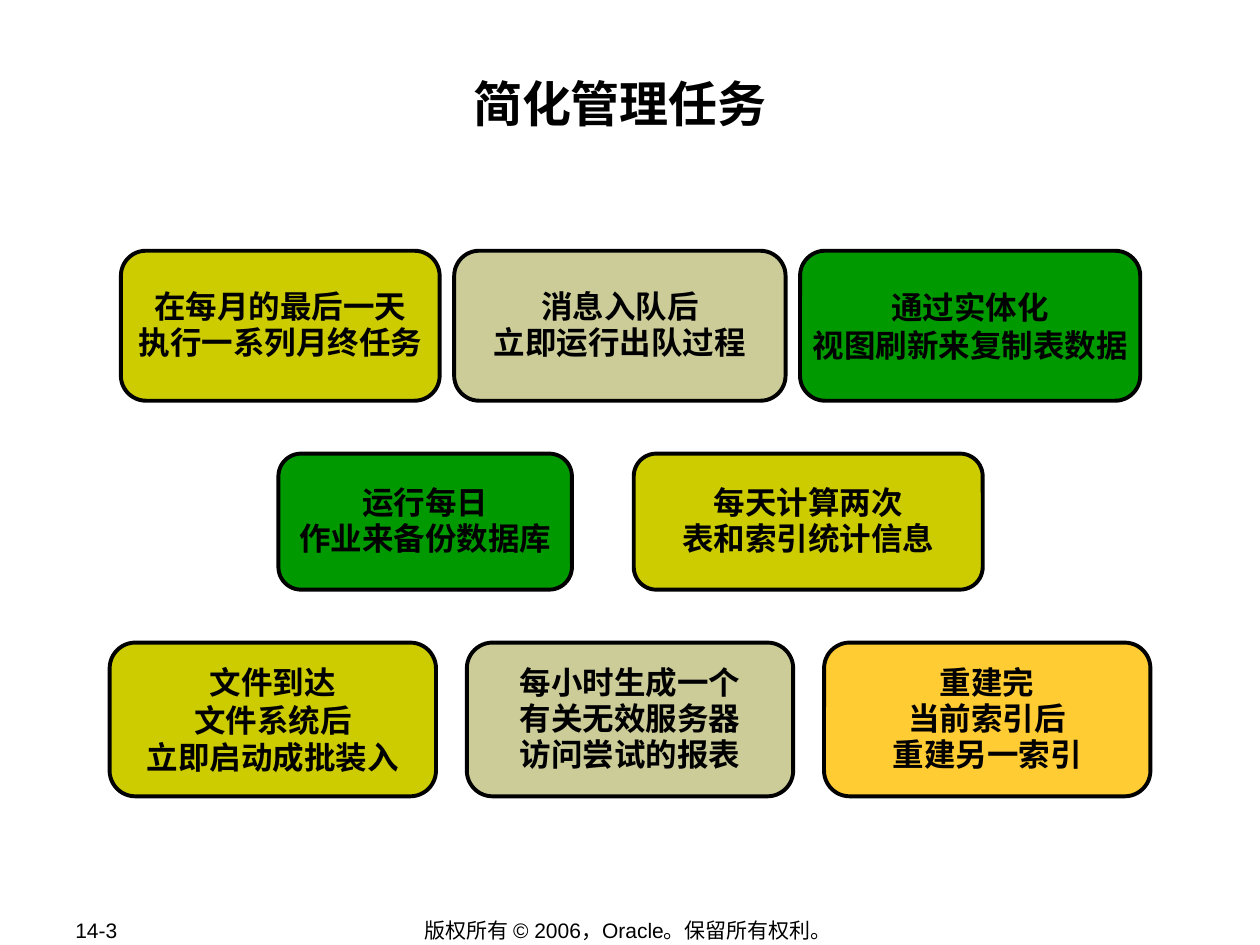
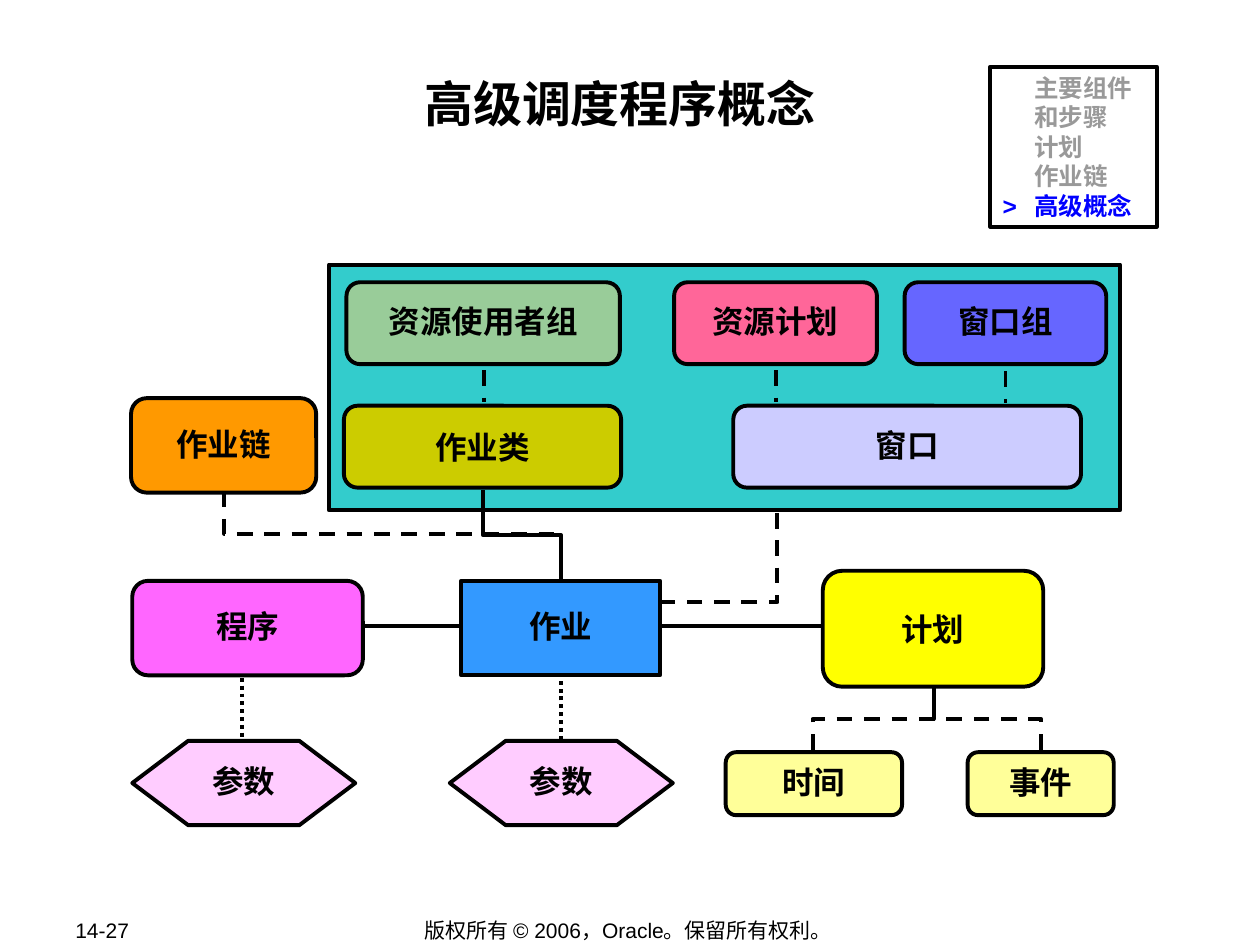
from dataclasses import dataclass

from lxml import etree
from pptx import Presentation
from pptx.dml.color import RGBColor
from pptx.enum.dml import MSO_LINE
from pptx.enum.shapes import MSO_CONNECTOR, MSO_SHAPE
from pptx.enum.text import MSO_ANCHOR, PP_ALIGN
from pptx.oxml.ns import qn
from pptx.util import Inches, Pt

ROUND, RECT, HEXAGON = MSO_SHAPE.ROUNDED_RECTANGLE, MSO_SHAPE.RECTANGLE, MSO_SHAPE.HEXAGON
STRAIGHT, ELBOW = MSO_CONNECTOR.STRAIGHT, MSO_CONNECTOR.ELBOW
DASH, DOT = MSO_LINE.DASH, MSO_LINE.ROUND_DOT
LEFT, CENTER = PP_ALIGN.LEFT, PP_ALIGN.CENTER
TOP, MIDDLE = MSO_ANCHOR.TOP, MSO_ANCHOR.MIDDLE

SLIDE_W, SLIDE_H = Inches(10), Inches(7.5)
COLS, ROWS = 100, 75
SANS, CJK = "Arial", "Noto Sans CJK SC"
BLACK, WHITE, GRAY, BLUE = "000000", "FFFFFF", "999999", "0000FF"
OLIVE, GREEN, SAND, AMBER = "CCCC00", "009900", "CCCC99", "FFCC33"
PINK, CREAM = "FFCCFF", "FFFF99"
COPYRIGHT = "版权所有 © 2006，Oracle。保留所有权利。"
TIGHT = 0.95
ADJUSTMENT = {ROUND: 0.167, HEXAGON: 0.663}


@dataclass
class Box:
    left: float
    top: float
    width: float
    height: float
    fill: str
    text: str = ""
    kind: int = ROUND
    spacing: float = TIGHT
    font: str = SANS


@dataclass
class Task:
    width: float
    fill: str
    text: str
    spacing: float = TIGHT


@dataclass
class TaskRow:
    left: float
    top: float
    height: float
    gap: float
    tasks: list[Task]


@dataclass
class Link:
    x1: float
    y1: float
    x2: float
    y2: float
    dash: int | None = None


TASK_ROWS = [
    TaskRow(9.6, 19.9, 11.9, 1.15, [
        Task(25.3, OLIVE, "在每月的最后一天\n执行一系列月终任务"),
        Task(26.3, SAND, "消息入队后\n立即运行出队过程"),
        Task(27, GREEN, "通过实体化\n视图刷新来复制表数据", 1),
    ]),
    TaskRow(22.1, 36, 10.8, 4.9, [
        Task(23.3, GREEN, "运行每日\n作业来备份数据库"),
        Task(27.7, OLIVE, "每天计算两次\n表和索引统计信息"),
    ]),
    TaskRow(8.7, 51, 12.2, 2.45, [
        Task(25.9, OLIVE, "文件到达\n文件系统后\n立即启动成批装入", 1),
        Task(25.9, SAND, "每小时生成一个\n有关无效服务器\n访问尝试的报表"),
        Task(25.9, AMBER, "重建完\n当前索引后\n重建另一索引"),
    ]),
]

RESOURCE_PANEL = Box(26.1, 21, 62.8, 19.5, "33CCCC", kind=RECT)
CONCEPTS = [
    Box(27.5, 22.4, 21.7, 6.5, "99CC99", "资源使用者组", font=CJK),
    Box(53.5, 22.4, 16.1, 6.5, "FF6699", "资源计划", font=CJK),
    Box(71.8, 22.4, 16, 6.5, "6666FF", "窗口组", font=CJK),
    Box(27.3, 32.2, 22, 6.5, OLIVE, "作业类", spacing=1),
    Box(58.2, 32.2, 27.6, 6.5, "CCCCFF", "窗口"),
    Box(10.4, 31.6, 14.7, 7.5, "FF9900", "作业链"),
    Box(10.5, 46.1, 18.3, 7.5, "FF66FF", "程序"),
    Box(36.6, 46.1, 15.8, 7.5, "3399FF", "作业", RECT),
    Box(65.3, 45.3, 17.5, 9.2, "FFFF00", "计划", spacing=1),
    Box(10.5, 58.8, 17.7, 6.7, PINK, "参数", HEXAGON),
    Box(35.7, 58.8, 17.7, 6.7, PINK, "参数", HEXAGON),
    Box(57.6, 59.7, 14, 5, CREAM, "时间"),
    Box(76.8, 59.7, 11.6, 5, CREAM, "事件"),
]
STRAIGHT_LINKS = [
    Link(65.8, 49.7, 27.4, 49.7),
    Link(19.2, 53.8, 19.2, 58.7, DOT),
    Link(44.5, 58.7, 44.5, 53.8, DOT),
    Link(38.4, 27.2, 38.4, 31.9, DASH),
    Link(61.6, 27.2, 61.6, 31.9, DASH),
    Link(79.8, 27.3, 79.8, 32, DASH),
]
ELBOW_LINKS = [
    Link(17.8, 39, 44.5, 45.7, DASH),
    Link(38.3, 38.9, 44.5, 46),
    Link(82.6, 59.5, 74.1, 54.6, DASH),
    Link(64.5, 59.5, 74.1, 54.6, DASH),
]
WINDOW_TO_JOB = [(61.7, 40.7), (61.7, 47.8), (52.5, 47.8)]
AGENDA = ["\t主要组件", "\t和步骤", "\t计划", "\t作业链", ">\t高级概念"]


def col(n: float) -> int:
    return round(SLIDE_W * n / COLS)


def row(n: float) -> int:
    return round(SLIDE_H * n / ROWS)


def rgb(value: str) -> RGBColor:
    return RGBColor.from_string(value)


def style_line(line, dash: int | None = None) -> None:
    line.color.rgb = rgb(BLACK)
    line.width = Pt(2.25)
    if dash is not None:
        line.dash_style = dash


def style_paragraph(p, size: float, color: str = BLACK, bold: bool = True,
                    align: int = CENTER, font: str = SANS) -> None:
    p.alignment = align
    p.font.name = font
    p.font.size = Pt(size)
    p.font.bold = bold
    p.font.color.rgb = rgb(color)


def set_frame(tf, anchor: int, inset_x: float, inset_y: float, wrap: bool = True) -> None:
    tf.word_wrap = wrap
    tf.vertical_anchor = anchor
    tf.margin_left = tf.margin_right = Inches(inset_x)
    tf.margin_top = tf.margin_bottom = Inches(inset_y)


def add_label(slide, left: float, top: float, width: float, height: float, text: str,
              size: float, bold: bool, align: int, anchor: int, inset: float) -> None:
    sp = slide.shapes.add_textbox(col(left), row(top), col(width), row(height))
    set_frame(sp.text_frame, anchor, inset, inset / 2)
    p = sp.text_frame.paragraphs[0]
    p.text = text
    style_paragraph(p, size, bold=bold, align=align)


def add_box(slide, box: Box):
    sp = slide.shapes.add_shape(box.kind, col(box.left), row(box.top),
                                col(box.width), row(box.height))
    sp.shadow.inherit = False
    if box.kind in ADJUSTMENT:
        sp.adjustments[0] = ADJUSTMENT[box.kind]
    sp.fill.solid()
    sp.fill.fore_color.rgb = rgb(box.fill)
    style_line(sp.line)
    if box.text:
        set_frame(sp.text_frame, MIDDLE, 0.05, 0.05, wrap=False)
        p = sp.text_frame.paragraphs[0]
        p.text = box.text
        p.line_spacing = box.spacing
        style_paragraph(p, 18, font=box.font)
    return sp


def add_link(slide, link: Link, elbow: bool = False) -> None:
    x1, y1, x2, y2 = col(link.x1), row(link.y1), col(link.x2), row(link.y2)
    if elbow:
        cx, cy = (x1 + x2) // 2, (y1 + y2) // 2
        half_w, half_h = (x2 - x1) // 2, (y2 - y1) // 2
        x1, y1, x2, y2 = cx + half_h, cy - half_w, cx - half_h, cy + half_w
    cxn = slide.shapes.add_connector(ELBOW if elbow else STRAIGHT, x1, y1, x2, y2)
    style_line(cxn.line, link.dash)
    sp_pr = cxn._element.spPr
    etree.SubElement(sp_pr, qn("a:effectLst"))
    if elbow:
        sp_pr.find(qn("a:xfrm")).set("rot", str(270 * 60000))


def add_dashed_path(slide, points: list[tuple[float, float]]) -> None:
    start, *rest = [(col(x), row(y)) for x, y in points]
    builder = slide.shapes.build_freeform(*start)
    builder.add_line_segments(rest, close=False)
    sp = builder.convert_to_shape()
    sp.shadow.inherit = False
    sp.fill.background()
    style_line(sp.line, DASH)


def add_agenda(slide, items: list[str]) -> None:
    sp = add_box(slide, Box(78.6, 5.3, 13.2, 12.7, WHITE, kind=RECT))
    tf = sp.text_frame
    set_frame(tf, TOP, 0.1, 0.05)
    for i, item in enumerate(items):
        p = tf.add_paragraph() if i else tf.paragraphs[0]
        p.text = item
        tabs = etree.SubElement(p._p.get_or_add_pPr(), qn("a:tabLst"))
        etree.SubElement(tabs, qn("a:tab"), pos=str(Inches(0.25)), algn="l")
        style_paragraph(p, 14, BLUE if item.startswith(">") else GRAY, align=LEFT)


def add_slide(prs, title: str, number: str):
    slide = prs.slides.add_slide(prs.slide_layouts[6])
    slide.background.fill.solid()
    slide.background.fill.fore_color.rgb = rgb(WHITE)
    add_label(slide, 5, 72.8, 10.6, 2, number, 12, False, LEFT, MIDDLE, 0.1)
    add_label(slide, 27.4, 72.8, 44.9, 2.1, COPYRIGHT, 12, False, CENTER, MIDDLE, 0.1)
    add_label(slide, 9.2, 5.8, 80, 9.6, title, 28, True, CENTER, TOP, 0.01)
    return slide


def build_tasks(prs) -> None:
    slide = add_slide(prs, "简化管理任务", "14-3")
    for line in TASK_ROWS:
        left = line.left
        for task in line.tasks:
            add_box(slide, Box(left, line.top, task.width, line.height,
                               task.fill, task.text, spacing=task.spacing))
            left += task.width + line.gap


def build_concepts(prs) -> None:
    slide = add_slide(prs, "高级调度程序概念", "14-27")
    add_box(slide, RESOURCE_PANEL)
    for link in STRAIGHT_LINKS:
        add_link(slide, link)
    for link in ELBOW_LINKS:
        add_link(slide, link, elbow=True)
    add_dashed_path(slide, WINDOW_TO_JOB)
    for box in CONCEPTS:
        add_box(slide, box)
    add_agenda(slide, AGENDA)


def main() -> None:
    prs = Presentation()
    prs.slide_width, prs.slide_height = SLIDE_W, SLIDE_H
    build_tasks(prs)
    build_concepts(prs)
    prs.save("out.pptx")


if __name__ == "__main__":
    main()
